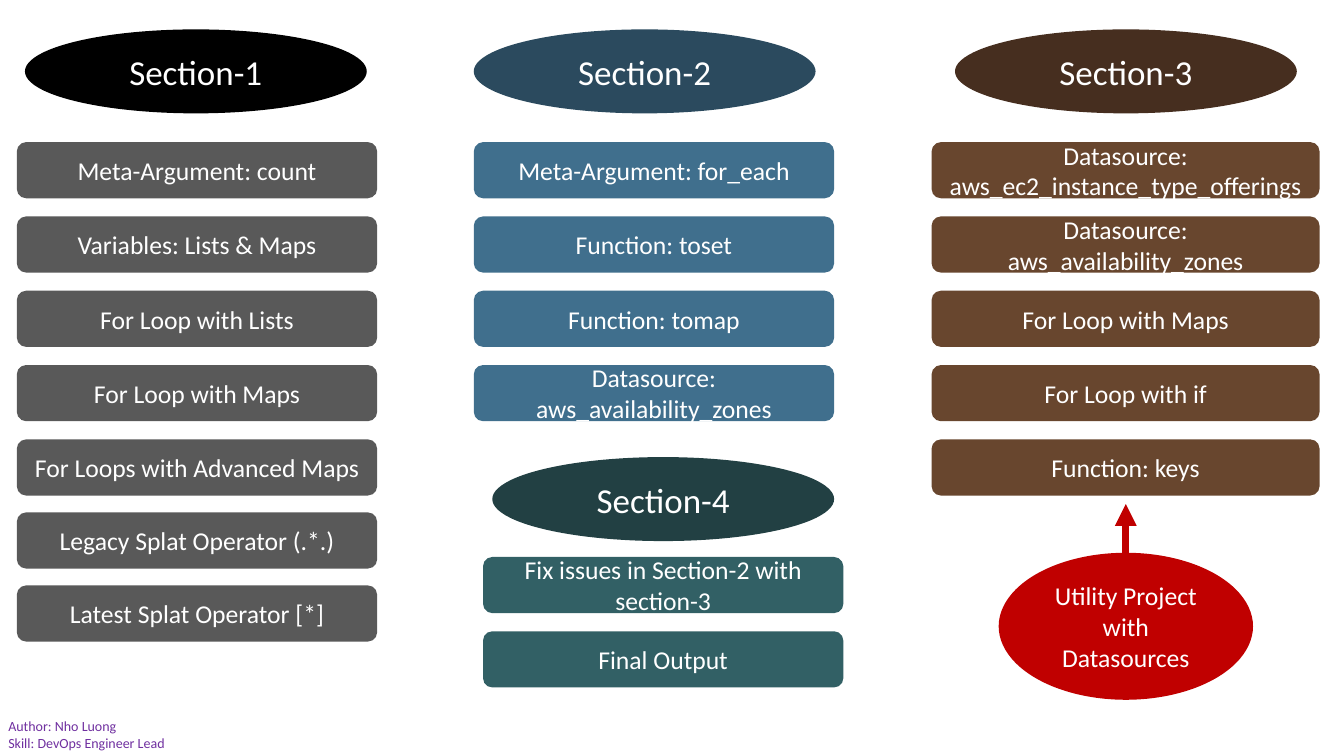
from dataclasses import dataclass

from lxml import etree
from pptx import Presentation
from pptx.dml.color import RGBColor
from pptx.enum.shapes import MSO_CONNECTOR, MSO_SHAPE
from pptx.enum.text import MSO_ANCHOR, MSO_AUTO_SIZE, PP_ALIGN
from pptx.oxml.ns import qn
from pptx.util import Pt

OVAL = MSO_SHAPE.OVAL
ROUNDED = MSO_SHAPE.ROUNDED_RECTANGLE
STRAIGHT = MSO_CONNECTOR.STRAIGHT
MIDDLE = MSO_ANCHOR.MIDDLE
FIT_SHAPE = MSO_AUTO_SIZE.SHAPE_TO_FIT_TEXT
CENTER = PP_ALIGN.CENTER
LEFT = PP_ALIGN.LEFT

FONT = "Calibri"
WHITE = RGBColor(0xFF, 0xFF, 0xFF)
BLACK = RGBColor(0x00, 0x00, 0x00)
GRAY = RGBColor(0x59, 0x59, 0x59)
NAVY = RGBColor(0x2B, 0x4A, 0x5E)
BLUE = RGBColor(0x40, 0x6F, 0x8D)
DARK_BROWN = RGBColor(0x46, 0x2E, 0x1F)
BROWN = RGBColor(0x68, 0x46, 0x2E)
DARK_TEAL = RGBColor(0x22, 0x40, 0x43)
TEAL = RGBColor(0x32, 0x60, 0x65)
RED = RGBColor(0xC0, 0x00, 0x00)
PURPLE = RGBColor(0x70, 0x30, 0xA0)

# All lengths are in points
HEADER_WIDTH, HEADER_HEIGHT = 293, 72
HEADER_TOP = 25.2
TOPIC_HEIGHT = 48.2
TOPIC_TOP = 121.8
TOPIC_PITCH = 63.7
SPLAT_TOP, SPLAT_PITCH = 439.2, 62.6
NARROW, WIDE = 308.9, 332.6


@dataclass
class Header:
    text: str
    left: float
    top: float
    color: RGBColor


@dataclass
class Stack:
    left: float
    top: float
    width: float
    color: RGBColor
    topics: list[str]
    pitch: float = TOPIC_PITCH


HEADERS = [
    Header("Section-1", 21.4, HEADER_TOP, BLACK),
    Header("Section-2", 406.1, HEADER_TOP, NAVY),
    Header("Section-3", 818.6, HEADER_TOP, DARK_BROWN),
    Header("Section-4", 422, 391.8, DARK_TEAL),
]

# A line break inside a topic starts a new paragraph
STACKS = [
    Stack(14.4, TOPIC_TOP, NARROW, GRAY, [
        "Meta-Argument: count",
        "Variables: Lists & Maps",
        "For Loop with Lists",
        "For Loop with Maps",
        "For Loops with Advanced Maps",
    ]),
    Stack(14.4, SPLAT_TOP, NARROW, GRAY, [
        "Legacy Splat Operator (.*.)",
        "Latest Splat Operator [*]",
    ], SPLAT_PITCH),
    Stack(406.1, TOPIC_TOP, NARROW, BLUE, [
        "Meta-Argument: for_each",
        "Function: toset",
        "Function: tomap",
        "Datasource: aws_availability_zones",
    ]),
    Stack(798.5, TOPIC_TOP, WIDE, BROWN, [
        "Datasource:\naws_ec2_instance_type_offerings",
        "Datasource:\naws_availability_zones",
        "For Loop with Maps",
        "For Loop with if",
        "Function: keys",
    ]),
    Stack(414, 477.4, NARROW, TEAL, [
        "Fix issues in Section-2 with section-3",
        "Final Output",
    ]),
]


def write(box, text: str, size: float, color: RGBColor, align: PP_ALIGN) -> None:
    frame = box.text_frame
    frame.word_wrap = True
    for index, line in enumerate(text.split("\n")):
        para = frame.add_paragraph() if index else frame.paragraphs[0]
        para.alignment = align
        span = para.add_run()
        span.text = line
        span.font.name = FONT
        span.font.size = Pt(size)
        span.font.color.rgb = color


def add_label(page, kind: MSO_SHAPE, left: float, top: float, width: float,
              height: float, color: RGBColor, text: str, size: float = 22) -> None:
    box = page.shapes.add_shape(kind, Pt(left), Pt(top), Pt(width), Pt(height))
    box.shadow.inherit = False
    box.fill.solid()
    box.fill.fore_color.rgb = color
    box.line.fill.background()
    box.text_frame.vertical_anchor = MIDDLE
    write(box, text, size, WHITE, CENTER)


def add_arrow(page, x: float, start: float, end: float) -> None:
    arrow = page.shapes.add_connector(STRAIGHT, Pt(x), Pt(start), Pt(x), Pt(end))
    arrow.line.color.rgb = RED
    arrow.line.width = Pt(6.25)
    etree.SubElement(arrow.line._get_or_add_ln(), qn("a:tailEnd"), type="triangle")
    etree.SubElement(arrow._element.spPr, qn("a:effectLst"))


def add_author(page) -> None:
    box = page.shapes.add_textbox(Pt(0), Pt(611.3), Pt(180.7), Pt(36))
    write(box, "Author: Nho Luong\nSkill: DevOps Engineer Lead", 12, PURPLE, LEFT)
    box.text_frame.auto_size = FIT_SHAPE


def main() -> None:
    deck = Presentation()
    deck.slide_width, deck.slide_height = Pt(1152), Pt(648)
    page = deck.slides.add_slide(deck.slide_layouts[6])

    # Topics of each section
    for stack in STACKS:
        for row, topic in enumerate(stack.topics):
            add_label(page, ROUNDED, stack.left, stack.top + row * stack.pitch,
                      stack.width, TOPIC_HEIGHT, stack.color, topic)

    # Section headers
    for header in HEADERS:
        add_label(page, OVAL, header.left, header.top, HEADER_WIDTH,
                  HEADER_HEIGHT, header.color, header.text, 30)

    # Utility project pointing at section 3
    add_label(page, OVAL, 856, 473.8, 218, 126, RED,
              "Utility Project with\nDatasources")
    add_arrow(page, 965, 473.8, 432)

    # Author note
    add_author(page)

    deck.save("out.pptx")


if __name__ == "__main__":
    main()
